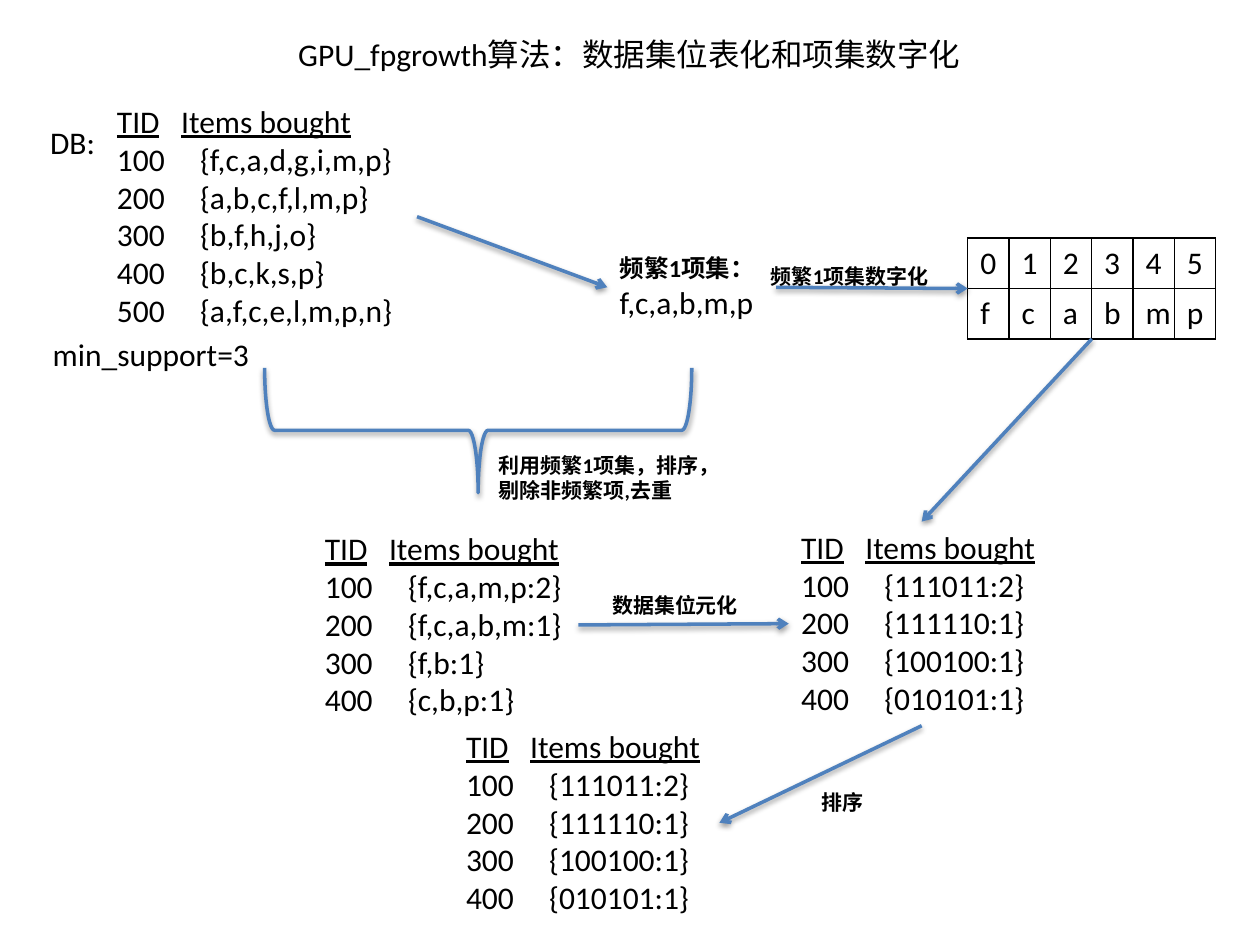
import pptx
import pptx.util
from pptx.dml.color import RGBColor
from pptx.enum.shapes import MSO_CONNECTOR, MSO_SHAPE
from pptx.enum.text import MSO_ANCHOR, MSO_AUTO_SIZE, PP_ALIGN
from pptx.oxml import parse_xml
from pptx.oxml.ns import nsdecls
from pptx.util import Inches, Pt

BLACK = RGBColor(0x00, 0x00, 0x00)
BLUE = RGBColor(0x4F, 0x81, 0xBD)
FONT = "Calibri"
TOP, LEFT, BOTTOM, RIGHT = 0, 1, 2, 3
HEADER_TAB, ROW_TAB = 0.51, 0.66

TITLE = "GPU_fpgrowth算法：数据集位表化和项集数字化"
HEADER = "TID\tItems bought"
BITMAPS = ["111011:2", "111110:1", "100100:1", "010101:1"]
# name: (left, top, width, height), item sets numbered 100, 200, ...
TRANSACTIONS = {
    "database": ((0.83, 0.76, 2.48, 1.92),
                 ["f,c,a,d,g,i,m,p", "a,b,c,f,l,m,p", "b,f,h,j,o",
                  "b,c,k,s,p", "a,f,c,e,l,m,p,n"]),
    "filtered": ((2.48, 4.15, 2.11, 1.62),
                 ["f,c,a,m,p:2", "f,c,a,b,m:1", "f,b:1", "c,b,p:1"]),
    "bitmaps": ((6.26, 4.14, 2.11, 1.62), BITMAPS),
    "sorted": ((3.6, 5.72, 2.11, 1.62), BITMAPS),
}
CAPTIONS = [
    ("DB:", (0.3, 0.93, 0.56, 0.4)),
    ("min_support=3", (0.32, 2.61, 1.78, 0.4)),
]
STEPS = [
    ("利用频繁1项集，排序，剔除非频繁项,去重", (3.86, 3.54, 1.93, 0.5)),
    ("频繁1项集数字化", (6.02, 2.04, 1.59, 0.3)),
    ("数据集位元化", (4.76, 4.65, 1.43, 0.3)),
    ("排序", (6.42, 6.22, 0.61, 0.3)),
]
FREQUENT = (["频繁1项集：", "f,c,a,b,m,p"], (4.82, 1.96, 1.34, 0.64))
CODES = ["012345", "fcabmp"]
CODES_BOX = (7.68, 1.89, 1.97, 0.8)


def style(paragraph, size=18, bold=False, underline=False):
    for run in paragraph.runs:
        run.font.name = FONT
        run.font.size = Pt(size)
        run.font.bold = bold
        run.font.underline = underline
        run.font.color.rgb = BLACK


def add_text(slide, lines, box, size=18, bold=False, wrap=True):
    shape = slide.shapes.add_textbox(*map(Inches, box))
    frame = shape.text_frame
    frame.text = "\n".join(lines)
    frame.word_wrap = wrap
    frame.auto_size = MSO_AUTO_SIZE.SHAPE_TO_FIT_TEXT
    for paragraph in frame.paragraphs:
        style(paragraph, size, bold)
    return shape


def add_transactions(slide, box, item_sets):
    rows = [f"{100 * n}\t{{{items}}}" for n, items in enumerate(item_sets, 1)]
    shape = add_text(slide, [HEADER] + rows, box, wrap=False)
    for index, paragraph in enumerate(shape.text_frame.paragraphs):
        stop = ROW_TAB if index else HEADER_TAB
        paragraph._p.get_or_add_pPr().append(parse_xml(
            f'<a:tabLst {nsdecls("a")}><a:tab pos="{Inches(stop)}" algn="l"/></a:tabLst>'))
        style(paragraph, underline=index == 0)
    return shape


def add_codes(slide):
    """Grid that gives every frequent item its number."""
    grid = slide.shapes.add_table(len(CODES), len(CODES[0]), *map(Inches, CODES_BOX)).table
    grid.first_row = grid.horz_banding = False
    for r, symbols in enumerate(CODES):
        for c, symbol in enumerate(symbols):
            cell = grid.cell(r, c)
            cell.text = symbol
            style(cell.text_frame.paragraphs[0])
            properties = cell._tc.get_or_add_tcPr()
            for side in ("lnL", "lnR", "lnT", "lnB"):
                properties.append(parse_xml(
                    f'<a:{side} {nsdecls("a")} w="{Pt(1)}"><a:solidFill>'
                    f'<a:srgbClr val="{BLACK}"/></a:solidFill></a:{side}>'))
            cell.fill.background()


def add_arrow(slide, begin, end):
    """Each end is a point in inches or a (shape, side) pair to join."""
    joined = [not isinstance(place[0], (int, float)) for place in (begin, end)]
    points = [(0, 0) if join else place for join, place in zip(joined, (begin, end))]
    arrow = slide.shapes.add_connector(
        MSO_CONNECTOR.STRAIGHT, *(Inches(v) for point in points for v in point))
    if joined[0]:
        arrow.begin_connect(*begin)
    if joined[1]:
        arrow.end_connect(*end)
    arrow.line.color.rgb = BLUE
    arrow.line.width = Pt(2)
    arrow.line._get_or_add_ln().append(parse_xml(f'<a:tailEnd {nsdecls("a")} type="arrow"/>'))


def add_brace(slide):
    brace = slide.shapes.add_shape(
        MSO_SHAPE.LEFT_BRACE, *map(Inches, (3.3, 1.72, 0.99, 3.39)))
    brace.rotation = 270
    brace.adjustments[0], brace.adjustments[1] = 0.08, 0.5
    brace.fill.background()
    brace.line.color.rgb = BLUE
    brace.line.width = Pt(2)
    # Same theme shadow as the arrows
    brace._element.xpath(".//a:effectRef")[0].set("idx", "1")


def main():
    deck = pptx.Presentation()
    deck.slide_width, deck.slide_height = Inches(10), Inches(7.5)
    slide = deck.slides.add_slide(deck.slide_layouts[5])

    title = slide.shapes.title
    title.left, title.top, title.width, title.height = map(Inches, (0.43, 0.23, 9.13, 0.4))
    title.text_frame.text = TITLE
    title.text_frame.vertical_anchor = MSO_ANCHOR.TOP
    title.text_frame.paragraphs[0].alignment = PP_ALIGN.CENTER
    style(title.text_frame.paragraphs[0])

    lists = {name: add_transactions(slide, *entry) for name, entry in TRANSACTIONS.items()}
    for caption, box in CAPTIONS:
        add_text(slide, [caption], box, wrap=False)
    frequent = add_text(slide, *FREQUENT)
    style(frequent.text_frame.paragraphs[0], 14, bold=True)
    add_brace(slide)
    add_codes(slide)

    left, top, width, height = CODES_BOX
    arrows = [
        ((lists["database"], RIGHT), (frequent, LEFT)),
        ((frequent, RIGHT), (left, top + height / 2)),
        ((left + width / 2, top + height), (lists["bitmaps"], TOP)),
        ((lists["filtered"], RIGHT), (lists["bitmaps"], LEFT)),
        ((lists["bitmaps"], BOTTOM), (lists["sorted"], RIGHT)),
    ]
    for begin, end in arrows:
        add_arrow(slide, begin, end)
    for step, box in STEPS:
        add_text(slide, [step], box, size=12, bold=True)

    deck.save("out.pptx")


if __name__ == "__main__":
    main()
